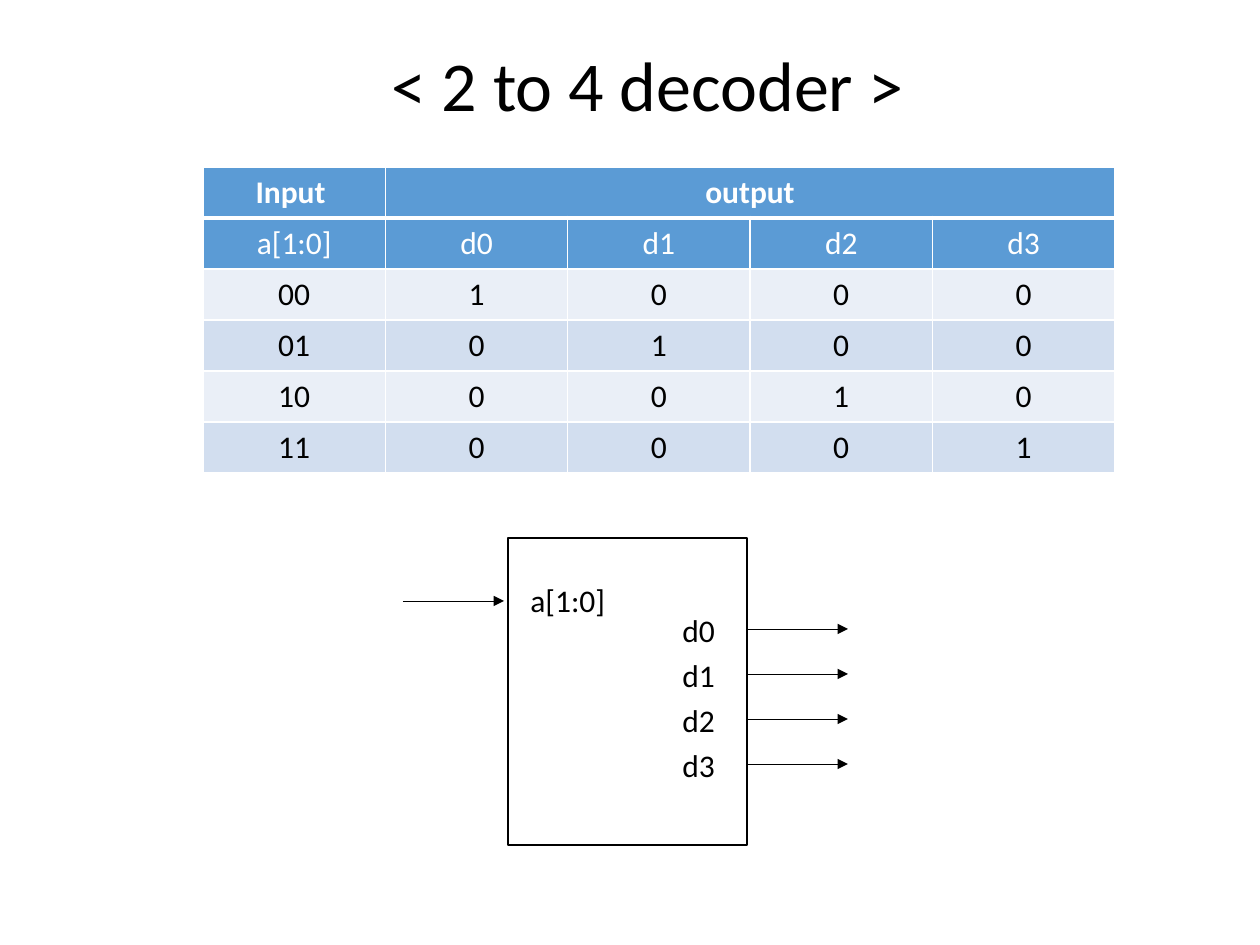
import pptx
import pptx.dml.color
import pptx.enum.shapes
import pptx.enum.text
import pptx.oxml.ns
import pptx.util
from lxml import etree

SCALE = 914400 / 126
FONT = "Calibri"
BLACK = pptx.dml.color.RGBColor(0x00, 0x00, 0x00)
WHITE = pptx.dml.color.RGBColor(0xFF, 0xFF, 0xFF)
HEADER_BLUE = pptx.dml.color.RGBColor(0x5B, 0x9B, 0xD5)
LIGHT_BAND = pptx.dml.color.RGBColor(0xEA, 0xEF, 0xF7)
DARK_BAND = pptx.dml.color.RGBColor(0xD2, 0xDE, 0xEF)

OUTPUTS = ["d0", "d1", "d2", "d3"]
OUTPUT_PITCH = 45


def px(pixels):
    """Turn pixels into EMU."""
    return pptx.util.Emu(round(pixels * SCALE))


def write_text(frame, text, size=18, color=BLACK, bold=False, align=None):
    """Write one formatted paragraph into a text frame."""
    para = frame.paragraphs[0]
    para.alignment = align
    span = para.add_run()
    span.text = text
    span.font.name = FONT
    span.font.size = pptx.util.Pt(size)
    span.font.bold = bold
    span.font.color.rgb = color


def add_label(page, text, left, top, width, height, **text_format):
    """Add a text box that does not wrap."""
    box = page.shapes.add_textbox(px(left), px(top), px(width), px(height))
    box.text_frame.word_wrap = False
    box.text_frame.auto_size = pptx.enum.text.MSO_AUTO_SIZE.SHAPE_TO_FIT_TEXT
    write_text(box.text_frame, text, **text_format)


def add_block(page, left, top, width, height):
    """Add the outlined decoder block."""
    block = page.shapes.add_shape(
        pptx.enum.shapes.MSO_SHAPE.RECTANGLE, px(left), px(top), px(width), px(height))
    block.shadow.inherit = False
    block.fill.solid()
    block.fill.fore_color.rgb = WHITE
    block.line.color.rgb = BLACK
    block.line.width = pptx.util.Pt(1)


def add_arrow(page, left, right, y):
    """Add a thin horizontal arrow that points right."""
    arrow = page.shapes.add_connector(
        pptx.enum.shapes.MSO_CONNECTOR.STRAIGHT, px(left), px(y), px(right), px(y))
    arrow.line.color.rgb = BLACK
    arrow.line.width = pptx.util.Pt(0.5)
    line = arrow.line._get_or_add_ln()
    etree.SubElement(line, pptx.oxml.ns.qn("a:tailEnd"), type="triangle")
    etree.SubElement(arrow._element.spPr, pptx.oxml.ns.qn("a:effectLst"))


def set_borders(cell, **widths):
    """Give a cell white borders; widths in points are keyed by side."""
    properties = cell._tc.get_or_add_tcPr()
    for side in ("L", "R", "T", "B"):
        width = pptx.util.Pt(widths.get(side, 1))
        border = etree.SubElement(properties, pptx.oxml.ns.qn("a:ln" + side), w=str(width))
        fill = etree.SubElement(border, pptx.oxml.ns.qn("a:solidFill"))
        etree.SubElement(fill, pptx.oxml.ns.qn("a:srgbClr"), val=str(WHITE))


def add_truth_table(page, left, top, width, height):
    """Add the truth table, with one active output for each input."""
    rows = [["Input ", "output", "", "", ""], ["a[1:0]"] + OUTPUTS]
    for active in range(len(OUTPUTS)):
        bits = [str(int(index == active)) for index in range(len(OUTPUTS))]
        rows.append([f"{active:02b}"] + bits)
    table = page.shapes.add_table(
        len(rows), len(rows[0]), px(left), px(top), px(width), px(height)).table
    table.cell(0, 1).merge(table.cell(0, len(OUTPUTS)))
    edge_widths = {0: {"B": 3}, 1: {"T": 3}}
    for row_index, row in enumerate(rows):
        is_header = row_index < 2
        band = LIGHT_BAND if row_index % 2 == 0 else DARK_BAND
        for column_index, text in enumerate(row):
            cell = table.cell(row_index, column_index)
            set_borders(cell, **edge_widths.get(row_index, {}))
            cell.fill.solid()
            cell.fill.fore_color.rgb = HEADER_BLUE if is_header else band
            if text:
                write_text(cell.text_frame, text, bold=row_index == 0,
                           color=WHITE if is_header else BLACK,
                           align=pptx.enum.text.PP_ALIGN.CENTER)


def main():
    """Build the decoder slide."""
    deck = pptx.Presentation()
    deck.slide_width, deck.slide_height = px(1260), px(945)
    page = deck.slides.add_slide(deck.slide_layouts[6])

    add_label(page, "< 2 to 4 decoder > ", 379, 35, 558, 97, size=40)
    add_block(page, 508, 538, 239, 307)
    add_arrow(page, 403, 504, 601)
    add_label(page, "a[1:0]", 518, 575, 101, 50)
    for index, name in enumerate(OUTPUTS):
        offset = index * OUTPUT_PITCH
        add_arrow(page, 747, 848, 629 + offset)
        add_label(page, name, 670, 605 + offset, 58, 50)
    add_truth_table(page, 203, 167, 912, 306)

    deck.save("out.pptx")


main()
